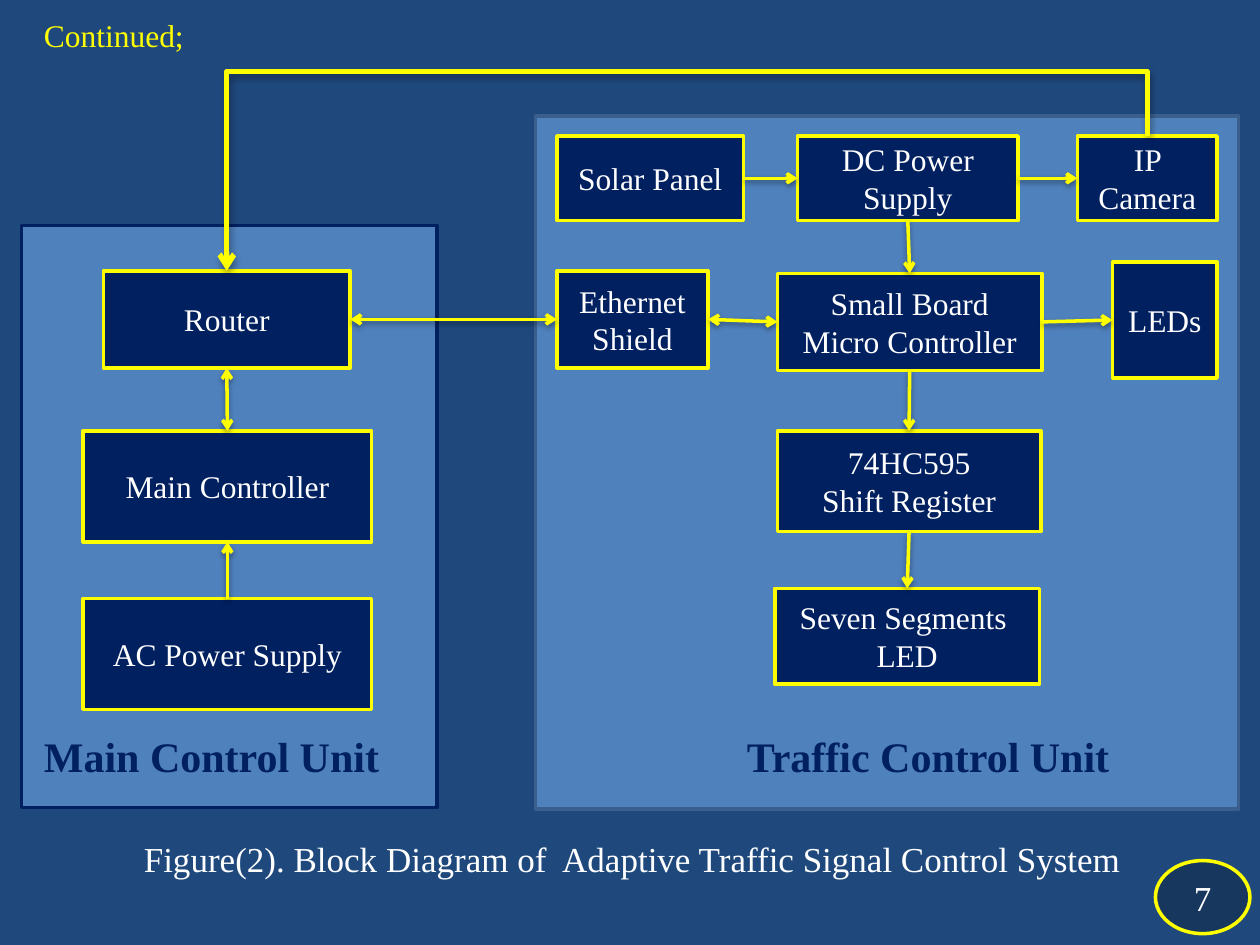
"""Build the block diagram slide of an adaptive traffic signal control system."""
import pptx
import pptx.dml.color
import pptx.enum.shapes
import pptx.enum.text
import pptx.oxml
import pptx.oxml.ns
import pptx.util

HUES = {"back": "1F497D", "panel": "4F81BD", "navy": "002060", "edge": "3A5F8C",
        "badge": "17375E", "yellow": "FFFF00", "white": "FFFFFF"}
FONT = "Times New Roman"
PANELS = [((0.17, 1.79, 3.3, 4.62), "navy"), ((4.25, 0.92, 5.58, 5.5), "edge")]
BOXES = {
    "router": ("Router", (0.82, 2.15, 1.96, 0.77)),
    "main": ("Main Controller", (0.66, 3.42, 2.29, 0.88)),
    "mains": ("AC Power Supply", (0.66, 4.75, 2.29, 0.88)),
    "solar": ("Solar Panel", (4.42, 1.08, 1.48, 0.67)),
    "supply": ("DC Power Supply", (6.33, 1.08, 1.75, 0.67)),
    "camera": ("IP Camera", (8.55, 1.08, 1.11, 0.67)),
    "shield": ("Ethernet Shield", (4.42, 2.15, 1.2, 0.77)),
    "micro": ("Small Board\nMicro Controller", (6.17, 2.17, 2.1, 0.77)),
    "leds": ("LEDs", (8.83, 2.08, 0.83, 0.92)),
    "shift": ("74HC595\nShift Register", (6.17, 3.42, 2.09, 0.8)),
    "seven": ("Seven Segments  LED", (6.15, 4.67, 2.1, 0.76)),
}
TOP, LEFT, BASE, RIGHT = range(4)
LINKS = [
    ("router", BASE, "main", TOP, True),
    ("mains", TOP, "main", BASE, False),
    ("shield", RIGHT, "micro", LEFT, True),
    ("solar", RIGHT, "supply", LEFT, False),
    ("supply", BASE, "micro", TOP, False),
    ("shift", BASE, "seven", TOP, False),
    ("micro", BASE, "shift", TOP, False),
    ("micro", RIGHT, "leds", LEFT, False),
    ("supply", RIGHT, "camera", LEFT, False),
    ("router", RIGHT, "shield", LEFT, True),
]
LABELS = [
    ("Traffic Control Unit", (5.83, 5.75, 3.11, 0.5), 24, "navy", True),
    ("Main Control Unit", (0.25, 5.75, 2.89, 0.5), 24, "navy", True),
    ("Continued;", (0.25, 0.08, 1.32, 0.4), 18, "yellow", False),
]
TITLE = "Figure(2). Block Diagram of  Adaptive Traffic Signal Control System"
LOOP_Y = 0.57
SHAPE = pptx.enum.shapes.MSO_SHAPE
KIND = pptx.enum.shapes.MSO_CONNECTOR
ALIGN = pptx.enum.text.PP_ALIGN
MIDDLE = pptx.enum.text.MSO_ANCHOR.MIDDLE
SIZING = pptx.enum.text.MSO_AUTO_SIZE


def inch(nums):
    return [pptx.util.Inches(num) for num in nums]


def tint(name):
    return pptx.dml.color.RGBColor.from_string(HUES[name])


def apply(thing, values):
    for key, value in values.items():
        setattr(thing, key, value)


def write(shape, text, size, hue, align=ALIGN.CENTER, bold=False, **frame):
    apply(shape.text_frame, {"word_wrap": True, "vertical_anchor": MIDDLE, **frame})
    shape.text_frame.text = text
    for para in shape.text_frame.paragraphs:
        para.alignment = align
        for run in para.runs:
            apply(run.font, {"name": FONT, "size": pptx.util.Pt(size), "bold": bold})
            run.font.color.rgb = tint(hue)


def draw(slide, kind, place, fill, edge):
    shape = slide.shapes.add_shape(kind, *inch(place))
    shape.shadow.inherit = False
    shape.fill.solid()
    shape.fill.fore_color.rgb = tint(fill)
    shape.line.color.rgb = tint(edge)
    shape.line.width = pptx.util.Pt(2)
    return shape


def node(tag, inner="", **attrs):
    extra = "".join(f' {key}="{value}"' for key, value in attrs.items())
    space = pptx.oxml.ns.nsdecls("a")
    return pptx.oxml.parse_xml(f"<a:{tag} {space}{extra}>{inner}</a:{tag}>")


def style(link, width, both, drop, alpha):
    link.line.color.rgb = tint("yellow")
    link.line.width = pptx.util.Pt(width)
    props = link._element.spPr
    line = props.find(pptx.oxml.ns.qn("a:ln"))
    for end in ["headEnd", "tailEnd"] if both else ["tailEnd"]:
        line.append(node(end, type="arrow"))
    props.append(node("effectLst", (
        f'<a:outerShdw blurRad="40000" dist="{drop}" dir="5400000" rotWithShape="0">'
        f'<a:srgbClr val="000000"><a:alpha val="{alpha}"/></a:srgbClr></a:outerShdw>')))


def loop(slide):
    left, top, wide, _ = BOXES["camera"][1]
    goal, base, span, _ = BOXES["router"][1]
    start, stop = left + wide / 2, goal + span / 2
    mid, level = (start + stop) / 2, (top + base) / 2
    tall, run = base - top, start - stop
    link = slide.shapes.add_connector(KIND.ELBOW, *inch((
        mid + tall / 2, level + run / 2, mid - tall / 2, level - run / 2)))
    props = link._element.spPr
    props.find(pptx.oxml.ns.qn("a:xfrm")).set("rot", "16200000")
    geom = props.find(pptx.oxml.ns.qn("a:prstGeom"))
    for old in list(geom):
        geom.remove(old)
    bend = round((LOOP_Y - top) / tall * 100000)
    geom.append(node("avLst", f'<a:gd name="adj1" fmla="val {bend}"/>'))
    style(link, 3, False, 23000, 35000)


def main():
    deck = pptx.Presentation()
    deck.slide_width, deck.slide_height = inch((10, 7.5))
    slide = deck.slides.add_slide(deck.slide_layouts[6])
    slide.background.fill.solid()
    slide.background.fill.fore_color.rgb = tint("back")
    title = slide.shapes.add_textbox(*inch((0.02, 6.5, 10, 0.63)))
    write(title, TITLE, 20, "white")
    for place, edge in PANELS:
        draw(slide, SHAPE.RECTANGLE, place, "panel", edge)
    boxes = {}
    for name, (text, place) in BOXES.items():
        boxes[name] = draw(slide, SHAPE.RECTANGLE, place, "navy", "yellow")
        write(boxes[name], text, 18, "white")
    for first, exit, last, entry, both in LINKS:
        link = slide.shapes.add_connector(KIND.STRAIGHT, 0, 0, 0, 0)
        link.begin_connect(boxes[first], exit)
        link.end_connect(boxes[last], entry)
        style(link, 2, both, 20000, 38000)
    for text, place, size, hue, bold in LABELS:
        label = slide.shapes.add_textbox(*inch(place))
        write(label, text, size, hue, ALIGN.LEFT, bold, word_wrap=False,
              vertical_anchor=pptx.enum.text.MSO_ANCHOR.TOP,
              auto_size=SIZING.SHAPE_TO_FIT_TEXT)
    loop(slide)
    badge = draw(slide, SHAPE.OVAL, (9.17, 6.83, 0.75, 0.58), "badge", "yellow")
    write(badge, "7", 20, "white")
    deck.save("out.pptx")


if __name__ == "__main__":
    main()
